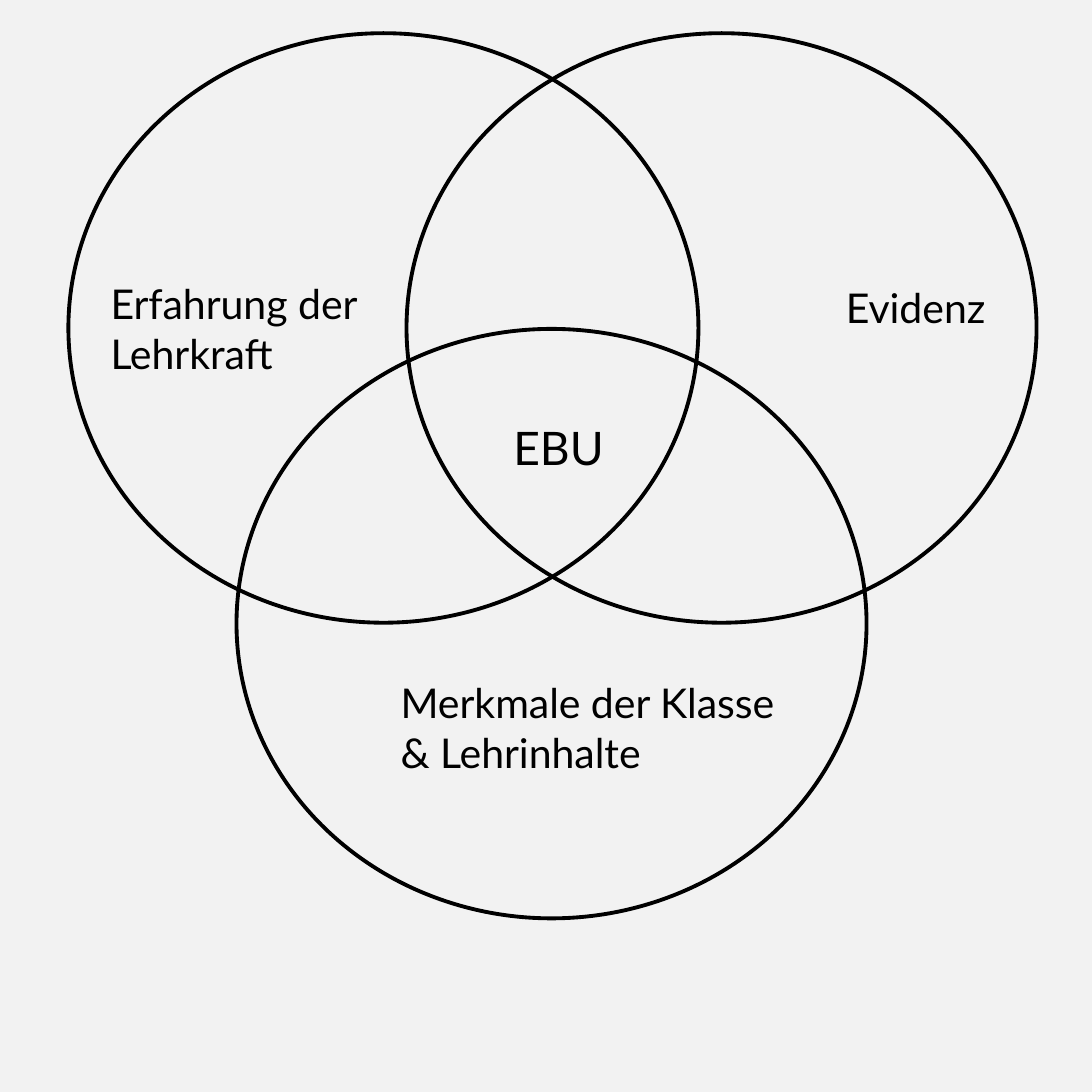
"""Build a Venn diagram slide of evidence-based teaching."""
from dataclasses import dataclass

from pptx import Presentation
from pptx import util as u
from pptx.dml.color import RGBColor
from pptx.enum import shapes, text
from pptx.slide import Slide

COLORS = {"background": "F2F2F2", "ink": "000000"}
FONT = "Lato"
SLIDE_SIDE = 5.91
CIRCLE_WIDTH, CIRCLE_HEIGHT = 3.41, 3.19


@dataclass(frozen=True)
class Circle:
    """Top left corner of one Venn circle."""
    left: float
    top: float


@dataclass(frozen=True)
class Label:
    """Lines of text with their box and size in points."""
    lines: tuple[str, ...]
    left: float
    top: float
    width: float
    height: float
    size: int = 16


CIRCLES = (Circle(0.37, 0.18), Circle(2.2, 0.18), Circle(1.28, 1.78))
LABELS = (
    Label(("Erfahrung der", "Lehrkraft"), 0.5, 1.46, 1.57, 0.64),
    Label(("Evidenz",), 4.48, 1.48, 1, 0.37),
    Label(("Merkmale der Klasse", "& Lehrinhalte"), 2.07, 3.62, 2.27, 0.64),
    Label(("EBU",), 2.68, 2.22, 0.8, 0.4, 18),
)


def color(name: str) -> RGBColor:
    """Return a named colour."""
    return RGBColor.from_string(COLORS[name])


def draw_circle(page: Slide, circle: Circle) -> None:
    """Draw one unfilled outline."""
    outline = page.shapes.add_shape(
        shapes.MSO_SHAPE.OVAL, u.Inches(circle.left), u.Inches(circle.top),
        u.Inches(CIRCLE_WIDTH), u.Inches(CIRCLE_HEIGHT))
    outline.shadow.inherit = False
    outline.fill.background()
    outline.line.color.rgb = color("ink")
    outline.line.width = u.Pt(1.5)


def draw_label(page: Slide, label: Label) -> None:
    """Write one label, a paragraph per line."""
    box = page.shapes.add_textbox(
        u.Inches(label.left), u.Inches(label.top),
        u.Inches(label.width), u.Inches(label.height))
    frame = box.text_frame
    frame.word_wrap = True
    frame.auto_size = text.MSO_AUTO_SIZE.SHAPE_TO_FIT_TEXT
    frame.text = "\n".join(label.lines)
    for para in frame.paragraphs:
        para.font.name = FONT
        para.font.size = u.Pt(label.size)
        para.font.color.rgb = color("ink")


def main() -> None:
    """Create and save the deck."""
    deck = Presentation()
    deck.slide_width = deck.slide_height = u.Inches(SLIDE_SIDE)
    page = deck.slides.add_slide(deck.slide_layouts[6])
    page.background.fill.solid()
    page.background.fill.fore_color.rgb = color("background")
    for circle in CIRCLES:
        draw_circle(page, circle)
    for label in LABELS:
        draw_label(page, label)
    deck.save("out.pptx")


if __name__ == "__main__":
    main()
